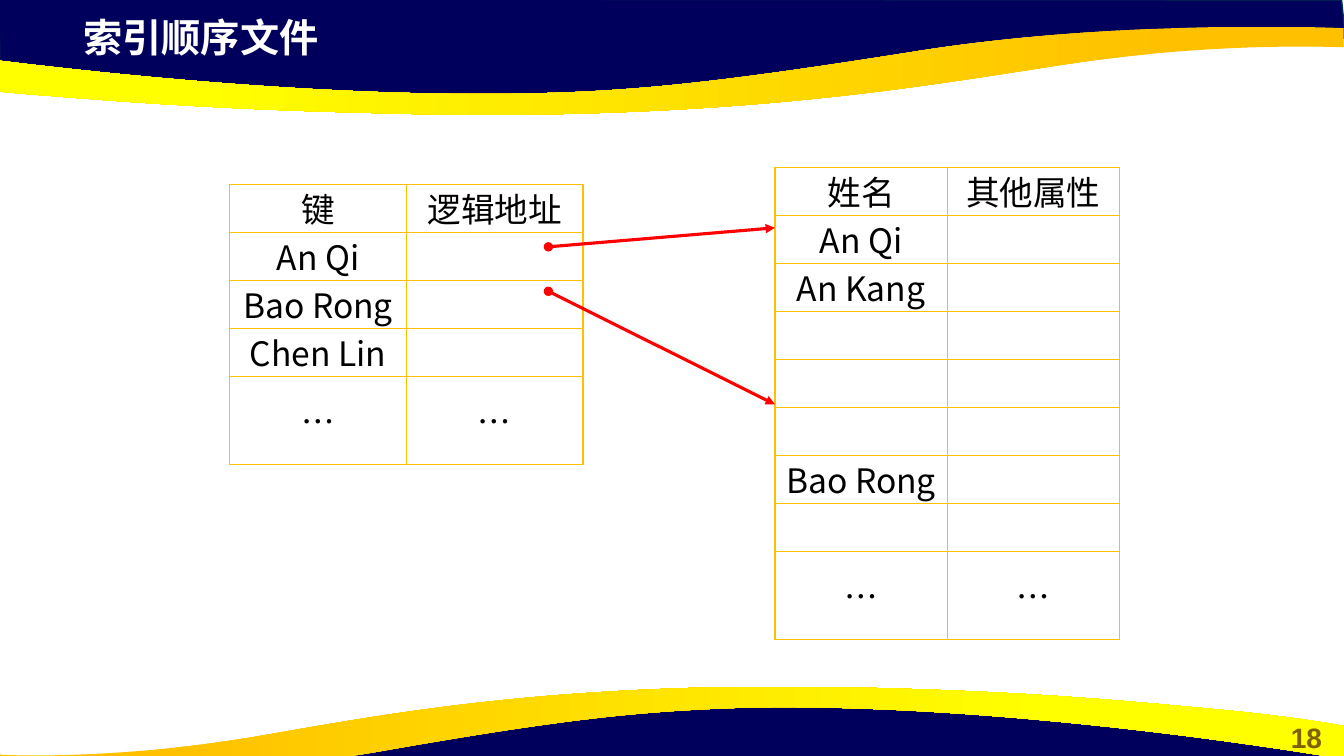
from lxml.etree import SubElement
from pptx import Presentation
from pptx.dml.color import RGBColor
from pptx.enum.shapes import MSO_CONNECTOR
from pptx.enum.text import MSO_ANCHOR, MSO_AUTO_SIZE, PP_ALIGN
from pptx.oxml import parse_xml
from pptx.oxml.ns import nsdecls, qn
from pptx.util import Cm, Pt

NAVY = RGBColor(0x00, 0x00, 0x5C)
NAVY_EDGE = RGBColor(0x05, 0x30, 0x4F)
GOLD = RGBColor(0xFF, 0xC0, 0x00)
YELLOW = RGBColor(0xFF, 0xFF, 0x00)
BROWN = RGBColor(0x80, 0x60, 0x00)
WHITE = RGBColor(0xFF, 0xFF, 0xFF)
BLACK = RGBColor(0x00, 0x00, 0x00)
RED = RGBColor(0xFF, 0x00, 0x00)

prs = Presentation()
prs.slide_width, prs.slide_height = Cm(33.87), Cm(19.05)
slide = prs.slides.add_slide(prs.slide_layouts[5])
shapes = slide.shapes


def add_outline(start, segments):
    points = [(segment[i], segment[i + 1])
              for segment in segments for i in range(0, len(segment), 2)]
    builder = shapes.build_freeform(start[0] * 100, start[1] * 100, scale=Cm(0.01))
    builder.add_line_segments([(x * 100, y * 100) for x, y in points], close=True)
    outline = builder.convert_to_shape()
    outline.shadow.inherit = False
    steps = iter(list(outline._element.iter(qn("a:lnTo"))))
    for segment in segments:
        first = next(steps)
        if len(segment) == 6:
            first.tag = qn("a:cubicBezTo")
            for _ in range(2):
                control = next(steps)
                first.append(control[0])
                control.getparent().remove(control)
    return outline


top_navy = ((-0.03, -0.03), [
    (0, 1.78), (7.44, 2.59), (14.2, 2.54), (20.19, 2.24), (25.81, 1.27),
    (31.45, 0.84), (33.91, 0.97), (33.81, 0)])
top_ribbon = ((12.27, 2.9), [
    (11.25, 2.9, 10.19, 2.87, 9.04, 2.84),
    (5.23, 2.74, 2.79, 2.54, 0.91, 2.39),
    (-2.24, 2.13, -3.3, 1.91, -3.38, 1.91),
    (-3.38, 1.07),
    (-3.38, 1.07, 5.54, 2.49, 13.13, 2.36),
    (15.9, 2.31, 17.98, 2.11, 23.24, 1.27),
    (28.47, 0.46, 33.86, 0.71, 33.86, 0.71),
    (33.86, 0.81), (33.86, 1.19), (33.78, 1.19),
    (33.15, 1.17, 30.35, 1.09, 26.8, 1.63),
    (23.32, 2.16, 19.35, 2.87, 12.27, 2.9)])
bottom_navy = ((33.86, 20.17), [
    (33.83, 18.39), (26.42, 17.55), (19.63, 17.6), (13.67, 17.93),
    (8.05, 18.87), (2.41, 19.3), (-0.08, 19.2), (0.03, 20.14)])
bottom_ribbon = ((19.61, 17.3), [
    (20.55, 17.3, 21.51, 17.32, 22.56, 17.35),
    (26.04, 17.45, 28.24, 17.65, 29.95, 17.81),
    (32.82, 18.06, 33.78, 18.29, 33.86, 18.29),
    (33.86, 19.13),
    (33.86, 19.13, 25.76, 17.7, 18.85, 17.83),
    (16.31, 17.91, 14.4, 18.08, 9.65, 18.92),
    (4.88, 19.76, -0.03, 19.51, -0.03, 19.51),
    (-0.03, 19.41), (-0.03, 19), (0.05, 19.02),
    (0.64, 19.05, 3.18, 19.1, 6.4, 18.57),
    (9.55, 18.03, 13.18, 17.32, 19.61, 17.3)])

for navy_part, ribbon_part, angle in [(top_navy, top_ribbon, 180),
                                      (bottom_navy, bottom_ribbon, 0)]:
    navy = add_outline(*navy_part)
    navy.fill.solid()
    navy.fill.fore_color.rgb = NAVY
    navy.line.color.rgb = NAVY_EDGE
    navy.line.width = Pt(1)
    ribbon = add_outline(*ribbon_part)
    ribbon.line.fill.background()
    ribbon.fill.gradient()
    ribbon.fill.gradient_angle = angle
    for stop, position, color in zip(ribbon.fill.gradient_stops, (0.11, 0.78), (GOLD, YELLOW)):
        stop.position = position
        stop.color.rgb = color

page_number = shapes.add_textbox(Cm(32), Cm(18.01), Cm(1.85), Cm(1.12))
title = shapes.title
shapes._spTree.append(title._element)
title.left, title.top, title.width, title.height = Cm(1.85), Cm(0.2), Cm(19.51), Cm(1.45)
for holder, text, size, color, align in [
        (page_number, "18", 20, BROWN, PP_ALIGN.CENTER),
        (title, "索引顺序文件", 28, WHITE, PP_ALIGN.LEFT)]:
    frame = holder.text_frame
    frame.word_wrap = True
    frame.auto_size = MSO_AUTO_SIZE.NONE
    frame.vertical_anchor = MSO_ANCHOR.MIDDLE
    frame.text = text
    paragraph = frame.paragraphs[0]
    paragraph.alignment = align
    paragraph.font.name = "Arial"
    paragraph.font.size = Pt(size)
    paragraph.font.bold = True
    paragraph.font.color.rgb = color

index_rows = [("键", "逻辑地址"), ("An Qi", ""), ("Bao Rong", ""), ("Chen Lin", ""), ("…", "…")]
record_rows = [("姓名", "其他属性"), ("An Qi", ""), ("An Kang", ""), ("", ""), ("", ""),
               ("", ""), ("Bao Rong", ""), ("", ""), ("…", "…")]
for rows, left, top, column_width in [(index_rows, 5.79, 4.65, 4.45),
                                      (record_rows, 19.53, 4.22, 4.34)]:
    heights = [1.21] * (len(rows) - 1) + [2.22]
    table = shapes.add_table(len(rows), 2, Cm(left), Cm(top),
                             Cm(2 * column_width), Cm(sum(heights))).table
    table.first_row = False
    table.horz_banding = False
    for column in table.columns:
        column.width = Cm(column_width)
    for row, height, texts in zip(table.rows, heights, rows):
        row.height = Cm(height)
        for cell, text in zip(row.cells, texts):
            cell.fill.background()
            properties = cell._tc.get_or_add_tcPr()
            for order, side in enumerate(("lnL", "lnR", "lnT", "lnB")):
                properties.insert(order, parse_xml(
                    f'<a:{side} {nsdecls("a")} w="{Pt(1)}"><a:solidFill>'
                    f'<a:srgbClr val="{GOLD}"/></a:solidFill></a:{side}>'))
            if not text:
                continue
            cell.text = text
            cell.vertical_anchor = MSO_ANCHOR.MIDDLE
            cell.margin_top, cell.margin_bottom = Cm(0.29), Cm(0)
            paragraph = cell.text_frame.paragraphs[0]
            paragraph.alignment = PP_ALIGN.CENTER
            paragraph.line_spacing = Pt(26)
            paragraph.font.name = "Noto Sans CJK SC"
            paragraph.font.size = Pt(24)
            paragraph.font.color.rgb = BLACK

for start_y, end_y in [(6.22, 5.74), (7.34, 10.19)]:
    pointer = shapes.add_connector(MSO_CONNECTOR.STRAIGHT, Cm(13.82), Cm(start_y),
                                   Cm(19.53), Cm(end_y))
    pointer.line.color.rgb = RED
    pointer.line.width = Pt(2.25)
    pointer_line = pointer.line._get_or_add_ln()
    SubElement(pointer_line, qn("a:headEnd"), type="oval")
    SubElement(pointer_line, qn("a:tailEnd"), type="triangle")
    SubElement(pointer._element.spPr, qn("a:effectLst"))

prs.save("out.pptx")
